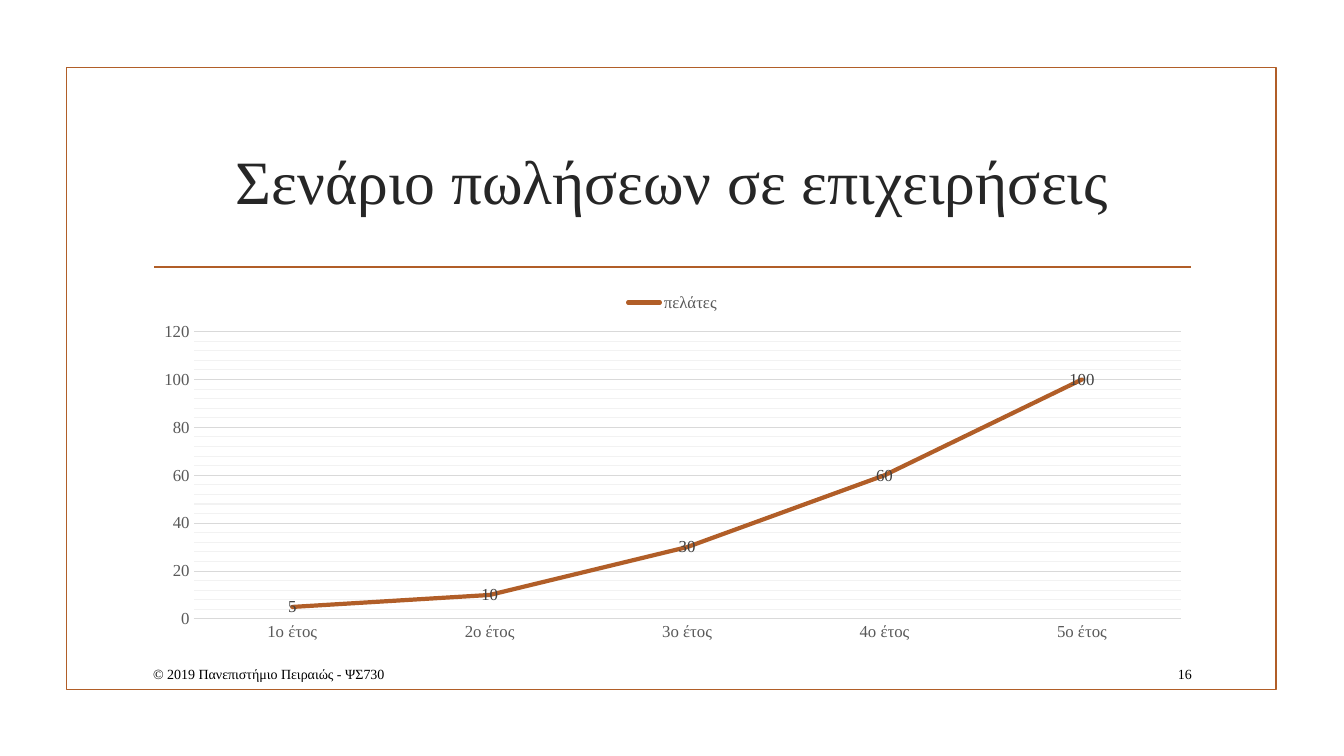
from pptx import Presentation
from pptx.chart.data import CategoryChartData
from pptx.dml.color import RGBColor
from pptx.enum.chart import XL_CHART_TYPE, XL_LABEL_POSITION, XL_LEGEND_POSITION, XL_TICK_MARK
from pptx.enum.shapes import MSO_CONNECTOR, MSO_SHAPE
from pptx.enum.text import MSO_ANCHOR, MSO_AUTO_SIZE, PP_ALIGN
from pptx.oxml.ns import qn
from pptx.util import Inches, Pt
from lxml import etree

FONT = "Times New Roman"
RUST = RGBColor(0xB1, 0x5E, 0x28)
BLACK = RGBColor(0, 0, 0)
TITLE_INK = RGBColor(0x26, 0x26, 0x26)
LABEL_INK = RGBColor(0x40, 0x40, 0x40)
AXIS_INK = RGBColor(0x59, 0x59, 0x59)
GRID = RGBColor(0xD9, 0xD9, 0xD9)
MINOR_GRID = RGBColor(0xF2, 0xF2, 0xF2)
NO_TICK = XL_TICK_MARK.NONE

SLIDE_W, SLIDE_H = 13.33, 7.5
LEFT, WIDTH = 1.42, 10.5  # content column
YEARS = [f"{n}ο έτος" for n in range(1, 6)]
CUSTOMERS = (5, 10, 30, 60, 100)


def inches(*lengths):
    return [Inches(v) for v in lengths]


def style_font(font, size, color):
    font.name, font.size, font.bold = FONT, Pt(size), False
    font.color.rgb = color


def style_line(line, color, width):
    line.color.rgb = color
    line.width = Pt(width)


def add_frame(s, left, top, width, height):
    """Draw the border and the rule under the title."""
    border = s.shapes.add_shape(MSO_SHAPE.RECTANGLE, *inches(left, top, width, height))
    border.shadow.inherit = False
    border.fill.background()
    style_line(border.line, RUST, 1.25)

    inset, rule_y = 0.87, top + 1.98
    rule = s.shapes.add_connector(
        MSO_CONNECTOR.STRAIGHT,
        *inches(left + inset, rule_y, left + width - 0.85, rule_y))
    style_line(rule.line, RUST, 1.25)
    etree.SubElement(rule._element.spPr, qn("a:effectLst"))


def fill_text(sp, text, size, color, align):
    tf = sp.text_frame
    tf.text = text
    tf.word_wrap = True
    tf.auto_size = MSO_AUTO_SIZE.NONE
    tf.vertical_anchor = MSO_ANCHOR.MIDDLE
    p = tf.paragraphs[0]
    p.alignment = align
    style_font(p.runs[0].font, size, color)


def set_title(s, text, left, top, width, height):
    title = s.shapes.title
    title.left, title.top, title.width, title.height = inches(left, top, width, height)
    fill_text(title, text, 44, TITLE_INK, PP_ALIGN.CENTER)


def add_footer(s, left, top, width, height):
    number_w = 0.59
    parts = (
        ("© 2019 Πανεπιστήμιο Πειραιώς - ΨΣ730", left, 7.99, PP_ALIGN.LEFT),
        ("16", left + width - number_w, number_w, PP_ALIGN.RIGHT),
    )
    for text, x, w, align in parts:
        sp = s.shapes.add_textbox(*inches(x, top, w, height))
        fill_text(sp, text, 10, BLACK, align)


def color_minor_gridlines(axis, color, width):
    grid = axis._element.find(qn("c:minorGridlines"))
    props = etree.SubElement(grid, qn("c:spPr"))
    ln = etree.SubElement(props, qn("a:ln"), w=str(Pt(width)))
    fill = etree.SubElement(ln, qn("a:solidFill"))
    etree.SubElement(fill, qn("a:srgbClr"), val=str(color))


def style_axes(chart):
    for axis in (chart.category_axis, chart.value_axis):
        axis.major_tick_mark = axis.minor_tick_mark = NO_TICK
        style_font(axis.tick_labels.font, 12, AXIS_INK)
    style_line(chart.category_axis.format.line, GRID, 0.75)

    values = chart.value_axis
    values.format.line.fill.background()
    values.minimum_scale, values.maximum_scale = 0, 120
    values.major_unit, values.minor_unit = 20, 4
    values.has_major_gridlines = values.has_minor_gridlines = True
    style_line(values.major_gridlines.format.line, GRID, 0.75)
    color_minor_gridlines(values, MINOR_GRID, 0.75)


def add_customer_chart(s, left, top, width, height):
    data = CategoryChartData()
    data.categories = YEARS
    data.add_series("πελάτες", CUSTOMERS)
    chart = s.shapes.add_chart(
        XL_CHART_TYPE.LINE, *inches(left, top, width, height), data).chart
    style_font(chart.font, 10, BLACK)
    chart.has_title = False
    chart.has_legend = True
    chart.legend.position = XL_LEGEND_POSITION.TOP
    chart.legend.include_in_layout = False
    style_font(chart.legend.font, 12, AXIS_INK)
    style_axes(chart)

    plot = chart.plots[0]
    plot.vary_by_categories = False
    series = plot.series[0]
    series.smooth = False
    style_line(series.format.line, RUST, 3)
    series.format.line._get_or_add_ln().set("cap", "rnd")
    labels = series.data_labels
    labels.show_value = True
    labels.position = XL_LABEL_POSITION.CENTER
    style_font(labels.font, 12, LABEL_INK)


def main():
    prs = Presentation()
    prs.slide_width, prs.slide_height = inches(SLIDE_W, SLIDE_H)
    s = prs.slides.add_slide(prs.slide_layouts[5])
    add_frame(s, 0.66, 0.67, 12, 6.17)
    set_title(s, "Σενάριο πωλήσεων σε επιχειρήσεις", LEFT, 1.07, WIDTH, 1.43)
    add_customer_chart(s, LEFT, 2.8, WIDTH, 3.63)
    add_footer(s, LEFT, 6.53, WIDTH, 0.31)
    prs.save("out.pptx")


if __name__ == "__main__":
    main()
